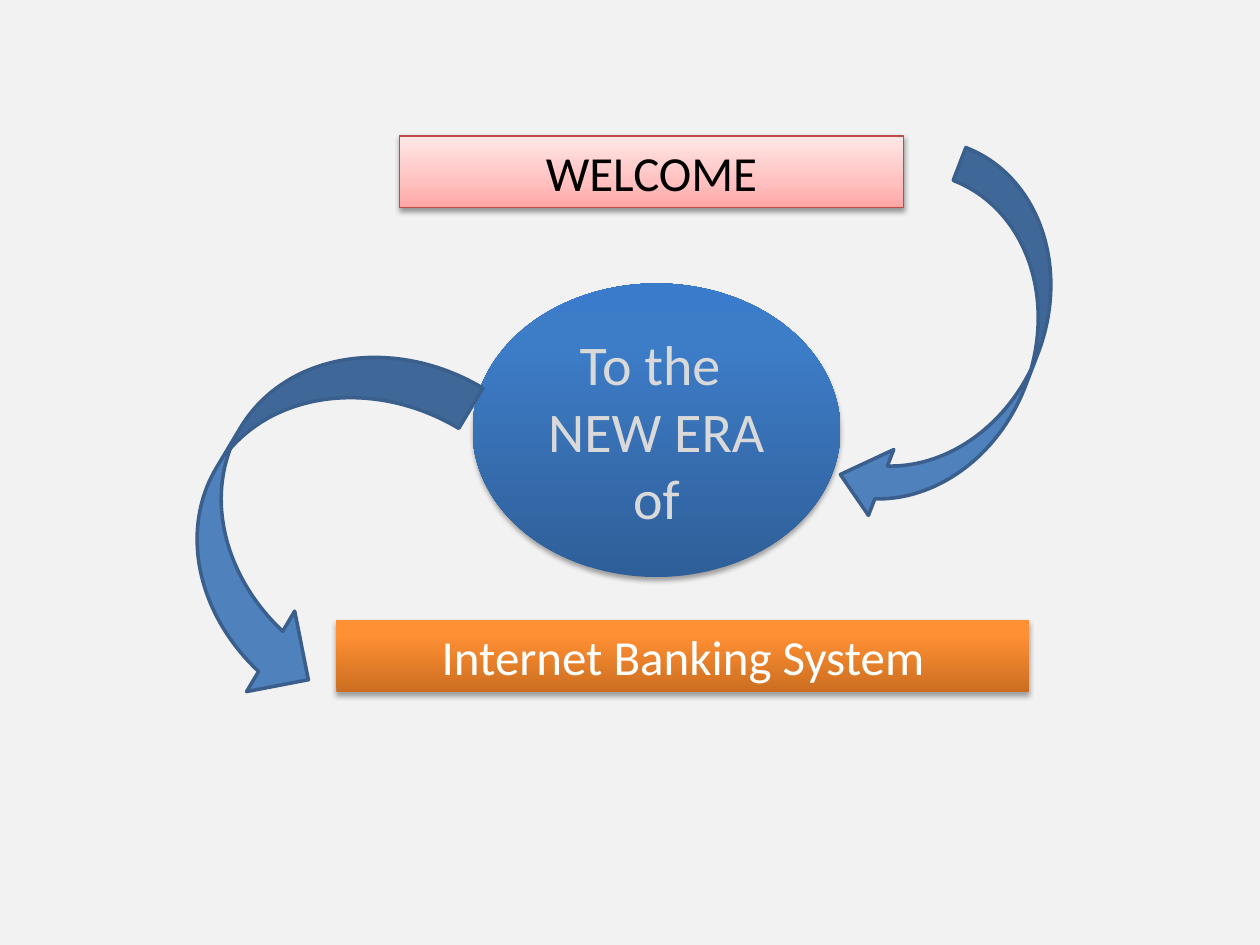
from copy import deepcopy

from lxml import etree
from pptx import Presentation
from pptx import util as u
from pptx.dml import color
from pptx.enum import shapes, text
from pptx.oxml import ns

COLORS = {
    "background": "F2F2F2", "arrow": "4F81BD", "arrow_line": "3A5F8C",
    "welcome_line": "BF4C48", "black": "000000", "white": "FFFFFF", "grey": "D9D9D9",
}
GRADIENTS = {
    "orange": [(0, "CC6E20"), (0.8, "FF9034"), (1, "FF9136")],
    "pink": [(0, "FFA6A5"), (0.35, "FFC0BF"), (1, "FFE7E7")],
    "blue": [(0, "2F5F99"), (0.8, "3D7CC7"), (1, "3A7CCB")],
}


def rgb(name):
    """Return the palette colour of the given name."""
    return color.RGBColor.from_string(COLORS[name])


def add_box_shape(slide, kind, box):
    """Add a preset shape without a theme shadow in a box given in inches."""
    shape = slide.shapes.add_shape(kind, *map(u.Inches, box))
    shape.shadow.inherit = False
    return shape


def set_line(shape, name, width):
    """Give a shape a solid outline."""
    shape.line.color.rgb = rgb(name)
    shape.line.width = u.Pt(width)


def fill_gradient(shape, stops):
    """Fill a shape with gradient stops running from bottom to top."""
    shape.fill.gradient()
    shape.fill.gradient_angle = 90
    stop_list = shape._element.spPr.find(".//" + ns.qn("a:gsLst"))
    stop_list.append(deepcopy(stop_list[-1]))
    for stop, (position, value) in zip(shape.fill.gradient_stops, stops):
        stop.position = position
        stop.color.rgb = color.RGBColor.from_string(value)


def add_shadow(shape, opacity, distance):
    """Add a soft black shadow below a shape."""
    effects = shape._element.spPr.find(ns.qn("a:effectLst"))
    shadow = etree.SubElement(
        effects, ns.qn("a:outerShdw"), blurRad=str(u.Pt(3.1)),
        dist=str(u.Pt(distance)), dir="5400000", rotWithShape="0")
    shade = etree.SubElement(shadow, ns.qn("a:srgbClr"), val=COLORS["black"])
    etree.SubElement(shade, ns.qn("a:alpha"), val=str(opacity * 1000))


def add_label(slide, box, kind, gradient, paragraphs, size, text_color,
              anchor=text.MSO_ANCHOR.TOP, opacity=35, distance=1.8):
    """Place a shaded shape with centred text, each paragraph a list of lines."""
    shape = add_box_shape(slide, kind, box)
    fill_gradient(shape, GRADIENTS[gradient])
    shape.line.fill.background()
    add_shadow(shape, opacity, distance)
    frame = shape.text_frame
    frame.word_wrap = True
    frame.vertical_anchor = anchor
    for index, lines in enumerate(paragraphs):
        paragraph = frame.add_paragraph() if index else frame.paragraphs[0]
        paragraph.alignment = text.PP_ALIGN.CENTER
        for number, line in enumerate(lines):
            if number:
                paragraph.add_line_break()
            run = paragraph.add_run()
            run.text = line
            run.font.name = "Calibri"
            run.font.size = u.Pt(size)
            run.font.color.rgb = rgb(text_color)
    return shape


def add_curved_arrow(slide, box, kind, rotation, head):
    """Place a rotated curved arrow with the given head length."""
    arrow = add_box_shape(slide, kind, box)
    arrow.rotation = rotation
    arrow.adjustments[2] = head
    arrow.fill.solid()
    arrow.fill.fore_color.rgb = rgb("arrow")
    set_line(arrow, "arrow_line", 2)


def build_welcome(slide):
    """Build the welcome slide from three labels joined by two arrows."""
    kinds = shapes.MSO_SHAPE
    slide.background.fill.solid()
    slide.background.fill.fore_color.rgb = rgb("background")
    add_label(slide, (2.67, 4.92, 5.5, 0.57), kinds.RECTANGLE, "orange",
              [["Internet Banking System"]], 28, "white")
    welcome = add_label(slide, (3.17, 1.08, 4, 0.57), kinds.RECTANGLE, "pink",
                        [["WELCOME"]], 28, "black", opacity=38, distance=1.6)
    set_line(welcome, "welcome_line", 0.75)
    add_label(slide, (3.75, 2.25, 2.92, 2.33), kinds.OVAL, "blue",
              [["To the "], ["NEW ERA", "of"]], 32, "grey", text.MSO_ANCHOR.MIDDLE)
    add_curved_arrow(slide, (7.08, 1.27, 1.12, 3.06), kinds.CURVED_LEFT_ARROW, 21, 0.29)
    add_curved_arrow(slide, (1.66, 2.48, 1.49, 3.07), kinds.CURVED_RIGHT_ARROW, 30.9, 0.25)


def main():
    """Create and save the presentation."""
    presentation = Presentation()
    presentation.slide_width = u.Inches(10)
    presentation.slide_height = u.Inches(7.5)
    build_welcome(presentation.slides.add_slide(presentation.slide_layouts[6]))
    presentation.save("out.pptx")


if __name__ == "__main__":
    main()
